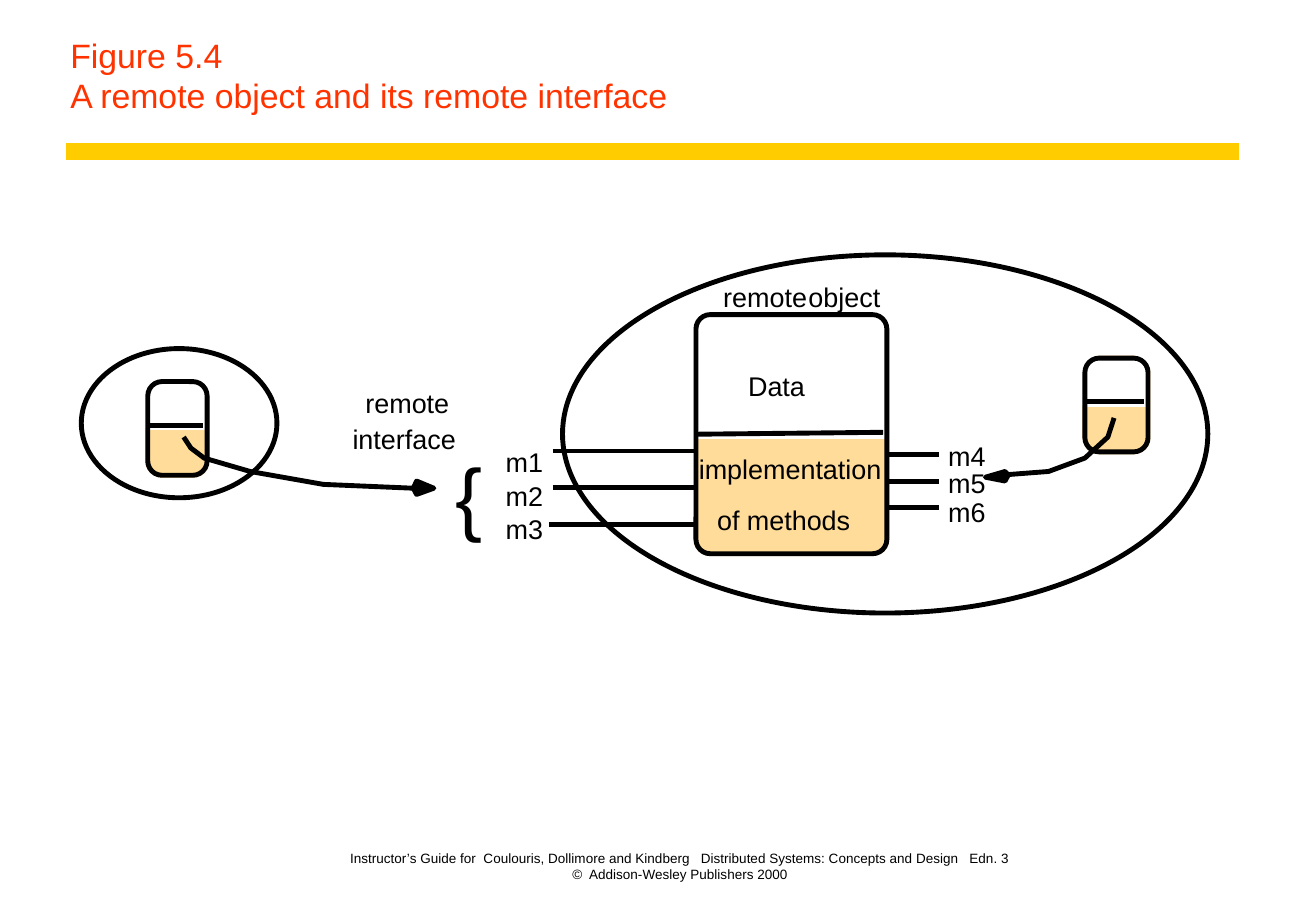
from lxml import etree
from pptx import Presentation
from pptx.dml.color import RGBColor
from pptx.enum.shapes import MSO_CONNECTOR, MSO_SHAPE
from pptx.enum.text import MSO_ANCHOR, MSO_AUTO_SIZE, PP_ALIGN
from pptx.oxml.ns import qn
from pptx.util import Cm, Pt

LINE = MSO_CONNECTOR.STRAIGHT
RECT = MSO_SHAPE.RECTANGLE
ROUND = MSO_SHAPE.ROUNDED_RECTANGLE
OVAL = MSO_SHAPE.OVAL
BOTTOM = MSO_ANCHOR.BOTTOM
CENTER = PP_ALIGN.CENTER
LEFT = PP_ALIGN.LEFT
GROW = MSO_AUTO_SIZE.SHAPE_TO_FIT_TEXT

BLACK, WHITE, SAND = "000000", "FFFFFF", "FFDC99"
GOLD, RED = "FFCC00", "FF3300"
STROKE = 2.88
RADIUS = 0.3

# label, its left and top, then the line's start, end and height
METHODS = [
    ("m1", 10.57, 9.32, 11.56, 14.55, 9.43),
    ("m2", 10.57, 10.03, 11.56, 14.55, 10.2),
    ("m3", 10.57, 10.72, 11.48, 14.55, 10.97),
    ("m4", 19.82, 9.19, 18.54, 19.63, 9.5),
    ("m5", 19.82, 9.75, 18.54, 19.63, 10.06),
    ("m6", 19.82, 10.36, 18.54, 19.63, 10.62),
]
# text, left, top, width
LABELS = [
    ("remote", 7.64, 8.08, 1.9),
    ("interface", 7.37, 8.84, 2.3),
    ("remote", 15.12, 5.87, 1.9),
    ("object", 16.9, 5.87, 1.65),
    ("Data", 15.64, 7.72, 1.3),
    ("implementation", 14.61, 9.47, 3.95),
    ("of methods", 14.99, 10.52, 2.9),
]


def color(code):
    return RGBColor.from_string(code)


def paint(shape, fill, line):
    shape.shadow.inherit = False
    if fill:
        shape.fill.solid()
        shape.fill.fore_color.rgb = color(fill)
    else:
        shape.fill.background()
    shape.line.color.rgb = color(line)
    shape.line.width = Pt(STROKE)


def add_form(slide, kind, box, fill, line):
    shape = slide.shapes.add_shape(kind, *map(Cm, box))
    paint(shape, fill, line)
    if kind == ROUND:
        shape.adjustments[0] = RADIUS / min(box[2:])


def add_line(slide, start, end, code=BLACK, width=STROKE):
    line = slide.shapes.add_connector(LINE, *map(Cm, start + end))
    line.line.color.rgb = color(code)
    line.line.width = Pt(width)
    etree.SubElement(line._element.spPr, qn("a:effectLst"))


def add_path(slide, points, closed=False):
    first, *rest = [(Cm(x), Cm(y)) for x, y in points]
    path = slide.shapes.build_freeform(*first)
    path.add_line_segments(rest, close=closed)
    paint(path.convert_to_shape(), BLACK if closed else None, BLACK)


def add_text(slide, text, box, size, code=BLACK, align=LEFT):
    """Add a wrapped text that stands on the bottom of its box."""
    frame = slide.shapes.add_textbox(*map(Cm, box)).text_frame
    frame.word_wrap = True
    frame.vertical_anchor = BOTTOM
    set_text(frame, text, size, code, align)


def add_label(slide, text, left, top, width, height=0.69, size=16):
    """Add a one-line text without margins."""
    frame = slide.shapes.add_textbox(*map(Cm, (left, top, width, height))).text_frame
    frame.margin_left = frame.margin_right = 0
    frame.margin_top = frame.margin_bottom = 0
    frame.word_wrap = False
    frame.auto_size = GROW
    set_text(frame, text, size, BLACK, LEFT)


def set_text(frame, text, size, code, align):
    para = frame.paragraphs[0]
    para.text = text
    para.alignment = align
    para.font.name = "Arial"
    para.font.size = Pt(size)
    para.font.color.rgb = color(code)


def add_object(slide, left, top, width, height, split, rise=0):
    """Draw an object: white data above a split, sand methods below."""
    box = (left, top, width, height)
    add_form(slide, ROUND, box, SAND, SAND)
    add_form(slide, RECT, (left, top, width, split + 0.06), WHITE, WHITE)
    add_form(slide, ROUND, box, None, BLACK)
    level = top + split
    add_line(slide, (left, level), (left + width - 0.08, level - rise))


def main():
    deck = Presentation()
    deck.slide_width, deck.slide_height = Cm(27.51), Cm(19.05)
    slide = deck.slides.add_slide(deck.slide_layouts[6])

    add_line(slide, (1.37, 3.17), (25.91, 3.17), GOLD, 10)
    add_text(slide, "Figure 5.4\vA remote object and its remote interface",
             (1.22, 0.64, 24.69, 1.9), 20, RED)
    add_text(slide, "Instructor’s Guide for  Coulouris, Dollimore and Kindberg   "
             "Distributed Systems: Concepts and Design   Edn. 3\v"
             "©  Addison-Wesley Publishers 2000",
             (5.85, 17.78, 16.74, 0.79), 8, align=CENTER)

    add_object(slide, 22.68, 7.49, 1.32, 1.96, 0.91)
    add_object(slide, 3.09, 7.98, 1.24, 1.96, 0.91)
    add_object(slide, 14.55, 6.58, 3.99, 5, 2.5, 0.04)
    add_form(slide, OVAL, (1.7, 7.29, 4.09, 3.12), None, BLACK)
    add_form(slide, OVAL, (11.76, 5.33, 13.49, 7.49), None, BLACK)

    for name, left, top, start, end, level in METHODS:
        add_line(slide, (start, level), (end, level))
        add_label(slide, name, left, top, 0.85)
    for label in LABELS:
        add_label(slide, *label)
    add_label(slide, "{", 9.53, 9.32, 0.6, 2.03, 48)

    add_path(slide, [(8.64, 10.21), (6.76, 10.13), (5.23, 9.86),
                     (4.27, 9.58), (3.99, 9.37), (3.84, 9.14)])
    add_path(slide, [(8.64, 10.21), (8.71, 10.06), (9.07, 10.21), (8.71, 10.34)], True)
    add_path(slide, [(23.29, 8.74), (23.16, 9.14), (22.68, 9.58),
                     (21.92, 9.86), (21.01, 9.93)])
    add_path(slide, [(21.08, 9.93), (21.01, 10.06), (20.6, 9.98), (21.01, 9.86)], True)
    deck.save("out.pptx")


if __name__ == "__main__":
    main()
